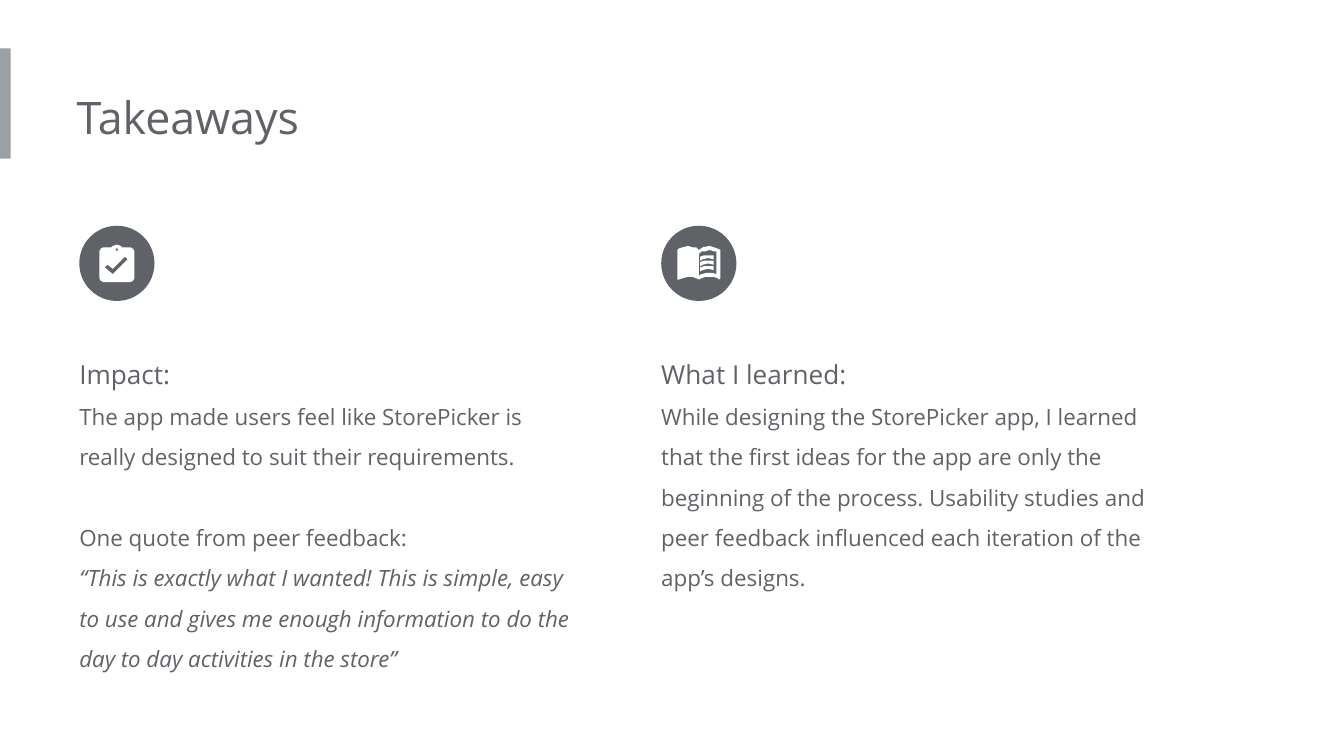
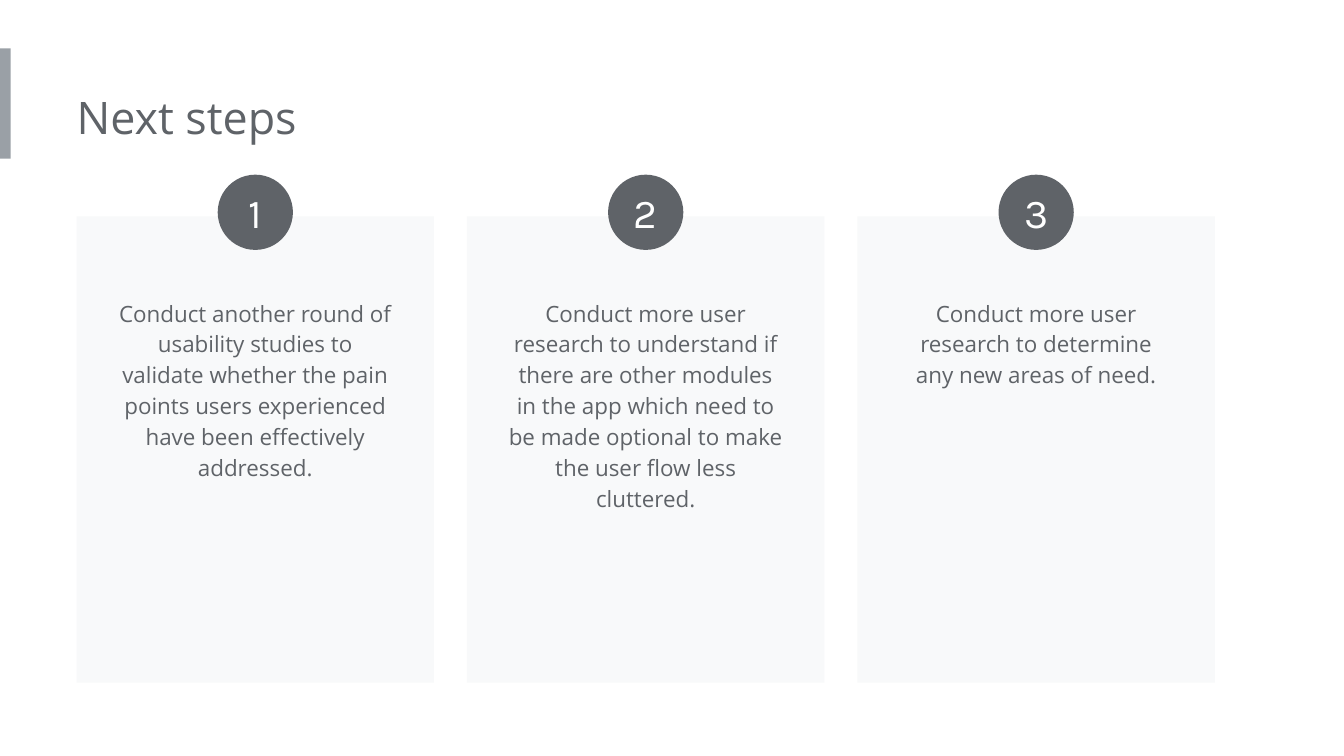
from lxml import etree
from pptx import Presentation, util as u
from pptx.dml import color
from pptx.enum import shapes, text

BAND = color.RGBColor(0x9A, 0xA0, 0xA6)
SLATE = color.RGBColor(0x5F, 0x63, 0x68)
CARD = color.RGBColor(0xF8, 0xF9, 0xFA)
WHITE = color.RGBColor(0xFF, 0xFF, 0xFF)

TITLE = {"size": u.Pt(24), "name": "Open Sans"}
HEADING = {"size": u.Pt(14), "name": "Open Sans"}
BODY = {"size": u.Pt(12), "name": "Open Sans"}
QUOTE = BODY | {"italic": True}
NUMBER = {"size": u.Pt(22), "name": "Karla"}

RECTANGLE = shapes.MSO_SHAPE.RECTANGLE
OVAL = shapes.MSO_SHAPE.OVAL
BADGE = 0.56


def add_block(slide, kind, fill, left, top, width, height):
    shape = slide.shapes.add_shape(kind, *map(u.Inches, (left, top, width, height)))
    shape.shadow.inherit = False
    shape.fill.solid()
    shape.fill.fore_color.rgb = fill
    shape.line.fill.background()
    return shape


def write_text(shape, lines, frame_format, paragraph_format, font_color=SLATE):
    frame = shape.text_frame
    for name, value in ({"word_wrap": True} | frame_format).items():
        setattr(frame, name, value)
    for index, (words, font_format, space) in enumerate(lines):
        paragraph = frame.add_paragraph() if index else frame.paragraphs[0]
        for name, value in paragraph_format.items():
            setattr(paragraph, name, value)
        if space:
            paragraph.space_before = u.Pt(space)
        run = paragraph.add_run()
        run.text = words
        for name, value in font_format.items():
            setattr(run.font, name, value)
        run.font.color.rgb = font_color


PADDED = {f"margin_{side}": u.Inches(0.1) for side in ("left", "top", "right", "bottom")}
PADDED["auto_size"] = text.MSO_AUTO_SIZE.SHAPE_TO_FIT_TEXT
FLUSH = PADDED | {"margin_left": 0}
CENTERED = {f"margin_{side}": 0 for side in ("left", "top", "right", "bottom")}
CENTERED["vertical_anchor"] = text.MSO_ANCHOR.MIDDLE

presentation = Presentation()
presentation.slide_width = u.Inches(10)
presentation.slide_height = u.Inches(5.625)

slides = []
for title in ("Takeaways", "Next steps"):
    slide = presentation.slides.add_slide(presentation.slide_layouts[6])
    add_block(slide, RECTANGLE, BAND, 0, 0.36, 0.08, 0.82)
    box = slide.shapes.add_textbox(*map(u.Inches, (0.57, 0.57, 5.39, 0.61)))
    write_text(box, [(title, TITLE, 0)], FLUSH, {})
    slides.append(slide)
takeaways, next_steps = slides

columns = [
    (0.59, 2.68, [
        ("Impact:", HEADING, 0),
        ("The app made users feel like StorePicker is really designed to suit "
         "their requirements.", BODY, 0),
        ("One quote from peer feedback:", BODY, 21.6),
        ("“This is exactly what I wanted! This is simple, easy to use and gives me "
         "enough information to do the day to day activities in the store”", QUOTE, 0),
    ]),
    (4.92, 2.07, [
        ("What I learned:", HEADING, 0),
        ("While designing the StorePicker app, I learned that the first ideas for the "
         "app are only the beginning of the process. Usability studies and peer feedback "
         "influenced each iteration of the app’s designs.", BODY, 0),
    ]),
]
for left, height, lines in columns:
    box = takeaways.shapes.add_textbox(*map(u.Inches, (left, 2.45, 3.77, height)))
    write_text(box, lines, FLUSH, {"line_spacing": 1.5})
    add_block(takeaways, OVAL, SLATE, left, 1.68, BADGE, BADGE)

clipboard = [
    [(0.97, 1.84), (0.91, 1.84), (0.9, 1.83), (0.87, 1.82), (0.84, 1.83), (0.83, 1.84),
     (0.77, 1.84), (0.75, 1.85), (0.74, 1.87), (0.74, 2.07), (0.75, 2.09), (0.77, 2.1),
     (0.97, 2.1), (0.99, 2.09), (1, 2.07), (1, 1.87), (0.99, 1.85)],
    [(0.87, 1.84), (0.88, 1.86), (0.87, 1.87), (0.86, 1.86)],
    [(0.84, 2.04), (0.78, 1.99), (0.8, 1.97), (0.84, 2), (0.93, 1.91), (0.95, 1.93)],
]
book = [
    [(5.12, 1.83), (5.08, 1.84), (5.05, 1.85), (5.04, 1.86), (5.04, 2.08), (5.05, 2.08),
     (5.08, 2.07), (5.12, 2.06), (5.15, 2.06), (5.18, 2.07), (5.2, 2.08), (5.22, 2.07),
     (5.25, 2.06), (5.31, 2.06), (5.34, 2.07), (5.35, 2.08), (5.36, 2.07), (5.36, 1.86),
     (5.34, 1.85), (5.31, 1.84), (5.28, 1.83), (5.23, 1.84), (5.2, 1.86), (5.18, 1.84),
     (5.15, 1.84)],
    [(5.28, 1.86), (5.31, 1.87), (5.33, 1.87), (5.33, 2.04), (5.3, 2.03), (5.26, 2.03),
     (5.22, 2.04), (5.2, 2.05), (5.2, 1.89), (5.22, 1.87), (5.25, 1.87)],
]
text_lines = [
    [[(5.27, top), (5.24, top), (5.21, top + 0.01), (5.21, top + 0.04), (5.23, top + 0.03),
      (5.27, top + 0.02), (5.31, top + 0.03), (5.31, top)]]
    for top in (1.9, 1.94, 1.98)
]
for outline in (clipboard, book, *text_lines):
    builder = None
    for contour in outline:
        points = [(u.Inches(x), u.Inches(y)) for x, y in contour]
        if builder:
            builder.move_to(*points[0])
        else:
            builder = takeaways.shapes.build_freeform(*points[0])
        builder.add_line_segments(points[1:], close=True)
    icon = builder.convert_to_shape()
    icon.shadow.inherit = False
    icon.fill.solid()
    icon.fill.fore_color.rgb = WHITE
    icon.line.fill.background()

steps = [
    ("Conduct another round of usability studies to validate whether the pain points "
     "users experienced have been effectively addressed.", 1.6),
    ("Conduct more user research to understand if there are other modules in the app "
     "which need to be made optional to make the user flow less cluttered.", 1.83),
    ("Conduct more user research to determine any new areas of need.", 0.9),
]
card_width = 2.66
card_left = 0.57
card_pitch = (9.04 - card_left - card_width) / (len(steps) - 1)
center = {"alignment": text.PP_ALIGN.CENTER}
for index, (words, height) in enumerate(steps):
    left = card_left + index * card_pitch
    add_block(next_steps, RECTANGLE, CARD, left, 1.61, card_width, 3.47)
    box = next_steps.shapes.add_textbox(*map(u.Inches, (left + 0.21, 2.1, 2.24, height)))
    write_text(box, [(words, BODY, 0)], PADDED, center | {"line_spacing": 1.15})
    badge_left = left + (card_width - BADGE) / 2
    badge = add_block(next_steps, OVAL, SLATE, badge_left, 1.3, BADGE, BADGE)
    write_text(badge, [(str(index + 1), NUMBER, 0)], CENTERED, center, WHITE)

presentation.save("out.pptx")
